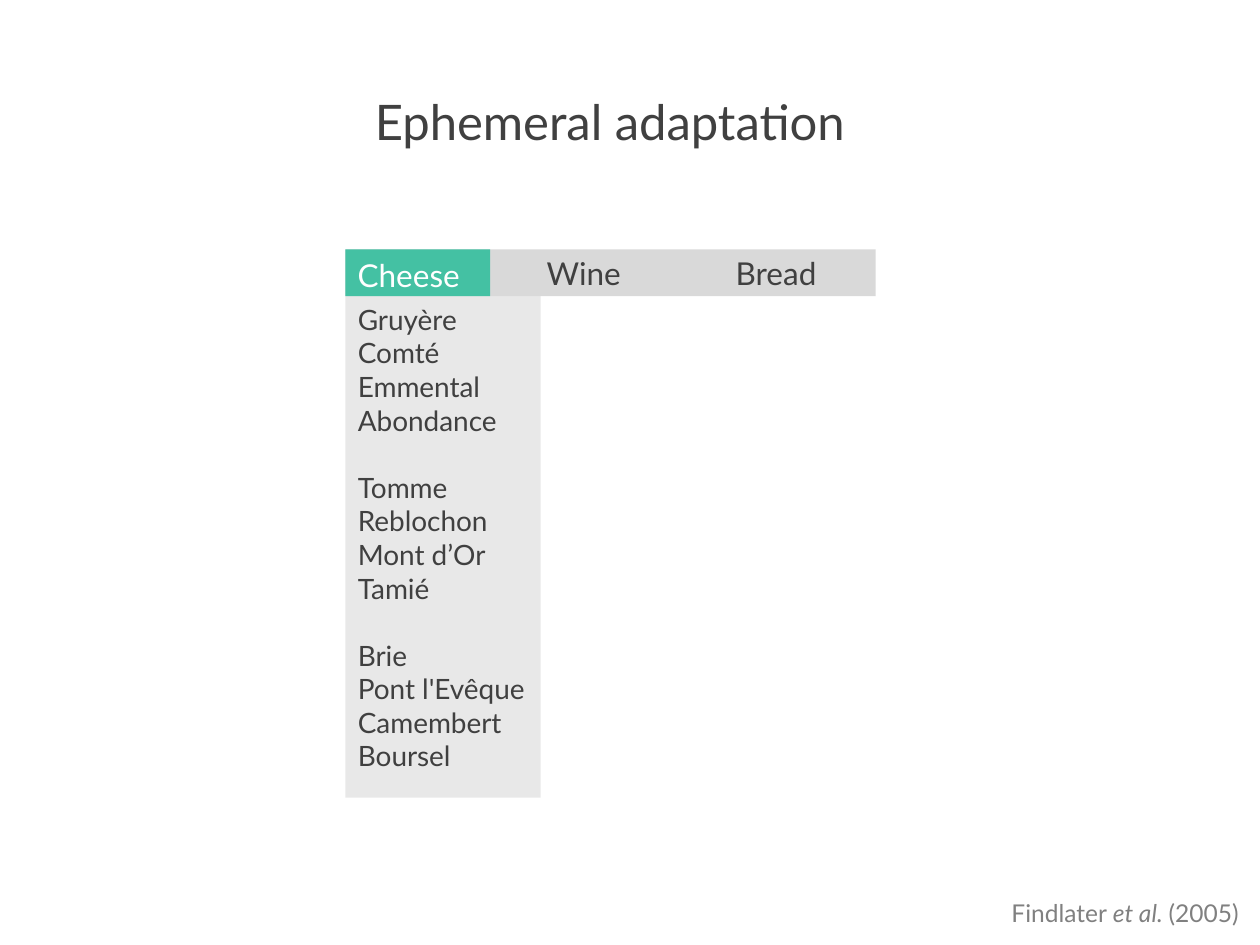
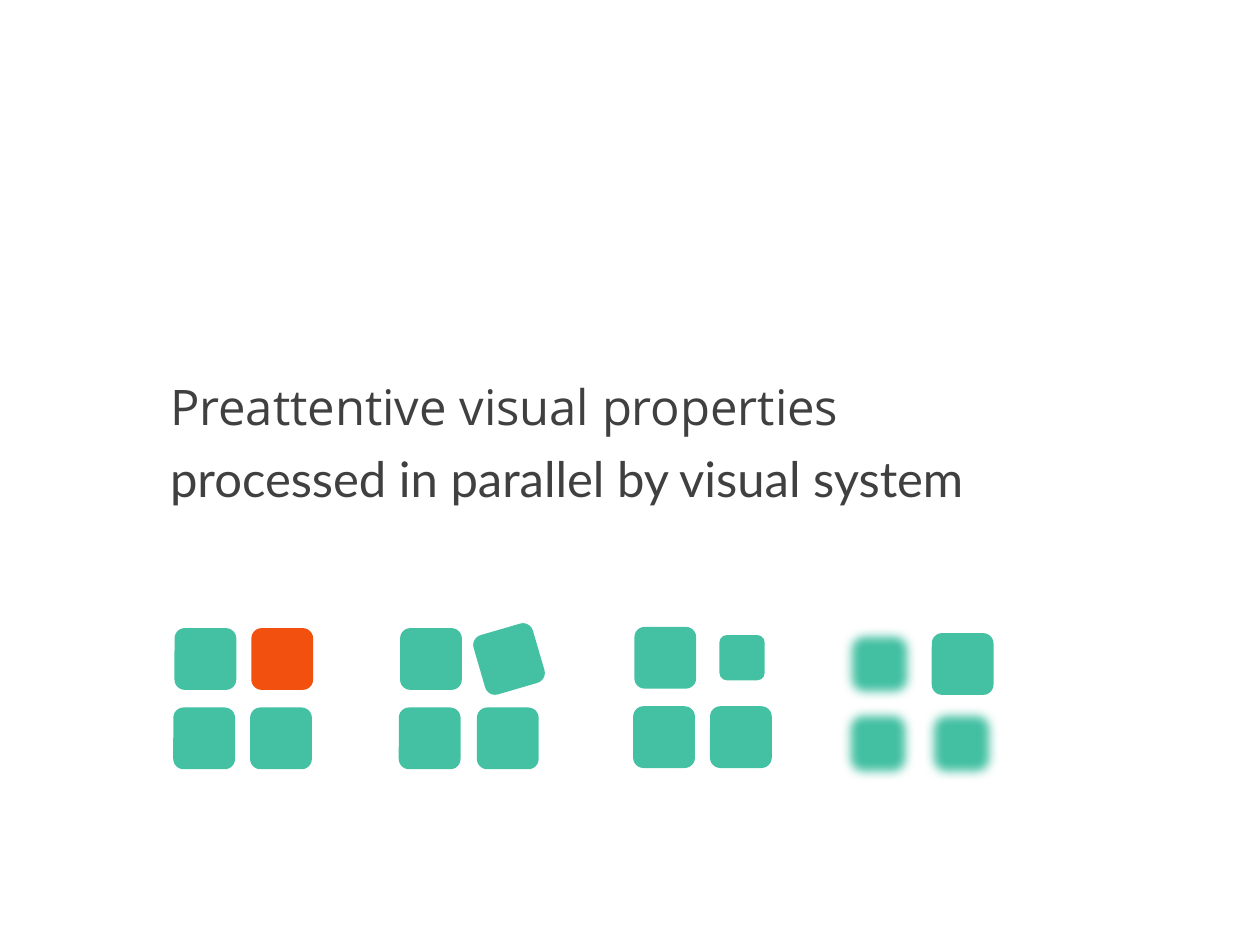
from dataclasses import dataclass

from lxml.etree import SubElement
from pptx import Presentation
from pptx.dml.color import RGBColor
from pptx.enum.shapes import MSO_SHAPE
from pptx.enum.text import MSO_ANCHOR, MSO_AUTO_SIZE, PP_ALIGN
from pptx.oxml.ns import qn
from pptx.util import Inches, Pt


@dataclass(frozen=True)
class Theme:
    ink: str = "404040"
    muted: str = "808080"
    white: str = "FFFFFF"
    bar: str = "D9D9D9"
    panel: str = "E8E8E8"
    green: str = "44C1A3"
    orange: str = "F1500F"
    font: str = "Lato"
    heading_font: str = "Open Sans"
    title: int = 28
    menu: int = 18
    item: int = 16
    source: int = 14


theme = Theme()


def write(para, text, size, color=theme.ink, font=theme.font, italic=False,
          align=PP_ALIGN.LEFT, before=0):
    """Add a formatted span to a paragraph, without bullet or indent."""
    para.alignment = align
    para.space_before = Pt(before)
    properties = para._p.get_or_add_pPr()
    properties.set("marL", "0")
    properties.set("indent", "0")
    if properties.find(qn("a:buNone")) is None:
        SubElement(properties, qn("a:buNone"))
    span = para.add_run()
    span.text = text
    span.font.size = Pt(size)
    span.font.name = font
    span.font.italic = italic
    span.font.color.rgb = RGBColor.from_string(color)


def place(box, left, top, width, height, fill=None, anchor=MSO_ANCHOR.TOP, wrap=True):
    """Position a shape, give it a plain fill and return its first paragraph."""
    box.left, box.top = Inches(left), Inches(top)
    box.width, box.height = Inches(width), Inches(height)
    if fill:
        box.fill.solid()
        box.fill.fore_color.rgb = RGBColor.from_string(fill)
        box.line.fill.background()
    frame = box.text_frame
    frame.auto_size = MSO_AUTO_SIZE.NONE
    frame.word_wrap = wrap
    frame.vertical_anchor = anchor
    return frame.paragraphs[0]


deck = Presentation()
deck.slide_width, deck.slide_height = Inches(10), Inches(7.5)
layout = deck.slide_layouts[1]

# Slide 1: title
page = deck.slides.add_slide(layout)
para = place(page.shapes.title, 2.86, 0.68, 3.96, 0.57, wrap=False)
write(para, "Ephemeral adaptation", theme.title, align=PP_ALIGN.CENTER)

# Menu bar with evenly spaced labels
menu_left, menu_top, menu_height, menu_pitch = 2.74, 1.98, 0.37, 1.5
bar = page.shapes.add_shape(MSO_SHAPE.RECTANGLE, 0, 0, 0, 0)
bar.shadow.inherit = False
place(bar, menu_left, menu_top, 4.21, menu_height, theme.bar)
for position, name in enumerate(("Wine", "Bread"), start=1):
    label = page.shapes.add_textbox(0, 0, 0, 0)
    para = place(label, menu_left + position * menu_pitch, menu_top, 1.15, menu_height,
                 anchor=MSO_ANCHOR.MIDDLE)
    write(para, name, theme.menu)

# Open menu entry
entry = page.shapes.add_shape(MSO_SHAPE.RECTANGLE, 0, 0, 0, 0)
entry.shadow.inherit = False
para = place(entry, menu_left, menu_top, 1.15, menu_height, theme.green, wrap=False)
write(para, "Cheese", theme.menu, theme.white)

# Drop-down list, one empty line of space between groups
cheese_groups = [
    ["Gruyère", "Comté", "Emmental", "Abondance"],
    ["Tomme", "Reblochon", "Mont d’Or", "Tamié"],
    ["Brie", "Pont l'Evêque", "Camembert", "Boursel"],
]
menu_list = page.placeholders[1]
para = place(menu_list, menu_left, menu_top + menu_height, 1.55, 3.98, theme.panel)
for group_number, cheeses in enumerate(cheese_groups):
    for row, cheese in enumerate(cheeses):
        if group_number or row:
            para = menu_list.text_frame.add_paragraph()
        gap = 1.2 * theme.item if group_number and row == 0 else 0
        write(para, cheese, theme.item, before=gap)

# Source
source = page.shapes.add_textbox(0, 0, 0, 0)
para = place(source, 7.41, 7.08, 2.52, 0.34)
for text, italic in (("Findlater ", False), ("et al. ", True), ("(2005)", False)):
    write(para, text, theme.source, theme.muted, italic=italic, align=PP_ALIGN.RIGHT)

# Slide 2: statement
page = deck.slides.add_slide(layout)
para = place(page.shapes.title, 1.25, 2.94, 6.78, 0.57)
write(para, "Preattentive visual properties", theme.title, font=theme.heading_font)
para = place(page.placeholders[1], 1.25, 3.51, 7.74, 0.57)
write(para, "processed in parallel by visual system", theme.title)

# Tile sets: centre of the first tile, column pitch, and what sets the second apart
tile, soft_tile, row_pitch, lower_shift = 0.49, 0.6, 0.63, -0.01
usual = dict(size=tile, fill=theme.green, turn=0, soft=False)
soft = dict(usual, size=soft_tile, soft=True)
tile_sets = [
    (1.63, 5.23, 0.61, usual, dict(usual, fill=theme.orange)),
    (3.42, 5.23, 0.62, usual, dict(usual, turn=-16.3)),
    (5.28, 5.22, 0.61, usual, dict(usual, size=0.36)),
    (6.98, 5.27, 0.66, soft, usual),
]
for center_x, center_y, column_pitch, common, odd in tile_sets:
    tiles = page.shapes.add_group_shape()
    for index in range(4):
        row, column = divmod(index, 2)
        style = odd if index == 1 else common
        size = style["size"]
        square = tiles.shapes.add_shape(MSO_SHAPE.ROUNDED_RECTANGLE, 0, 0, 0, 0)
        square.shadow.inherit = False
        place(square,
              center_x + column * column_pitch + row * lower_shift - size / 2,
              center_y + row * row_pitch - size / 2,
              size, size, style["fill"])
        square.rotation = style["turn"]
        if style["soft"]:
            effects = square._element.spPr.find(qn("a:effectLst"))
            SubElement(effects, qn("a:softEdge"), rad=str(Pt(6)))

    # Fit the group frame to its tiles
    squares = list(tiles.shapes)
    left = min(square.left for square in squares)
    top = min(square.top for square in squares)
    width = max(square.left + square.width for square in squares) - left
    height = max(square.top + square.height for square in squares) - top
    frame = tiles._element.grpSpPr.get_or_add_xfrm()
    for offset_tag, extent_tag in (("a:off", "a:ext"), ("a:chOff", "a:chExt")):
        offset, extent = frame.find(qn(offset_tag)), frame.find(qn(extent_tag))
        offset.set("x", str(left))
        offset.set("y", str(top))
        extent.set("cx", str(width))
        extent.set("cy", str(height))

deck.save("out.pptx")
